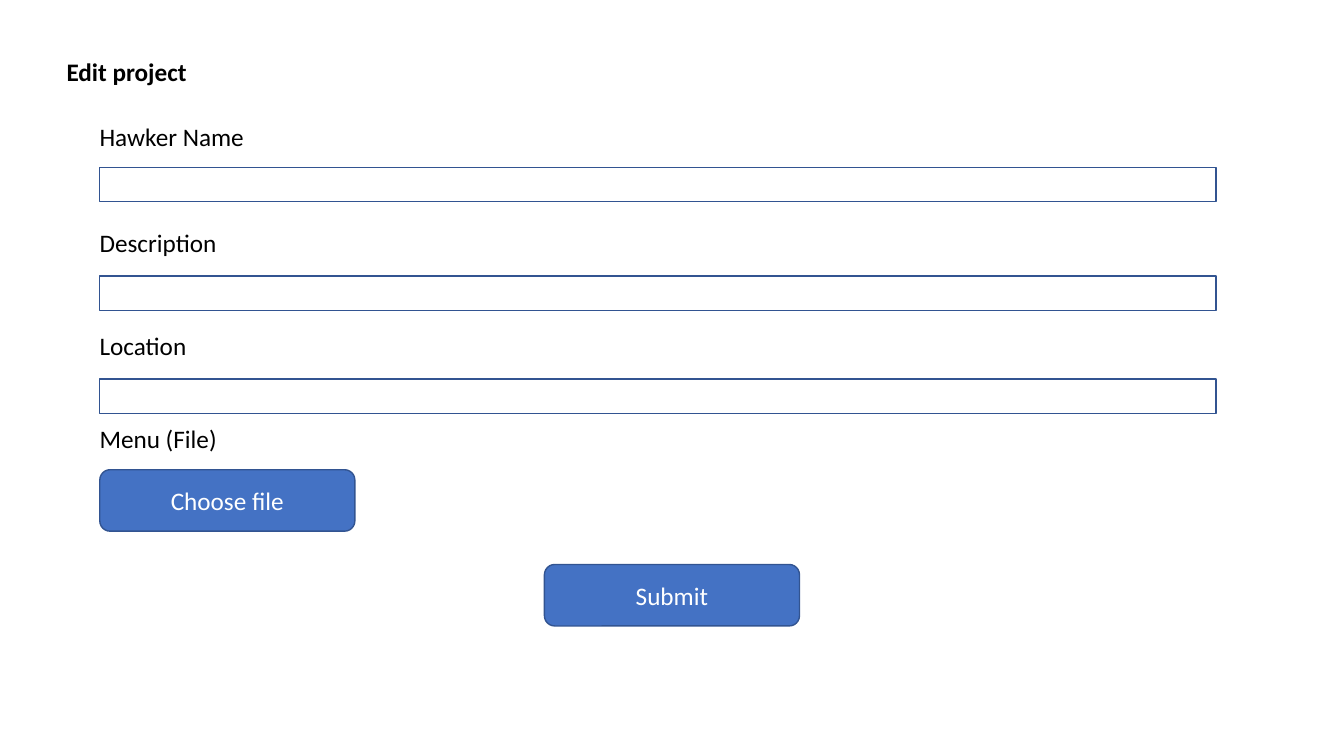
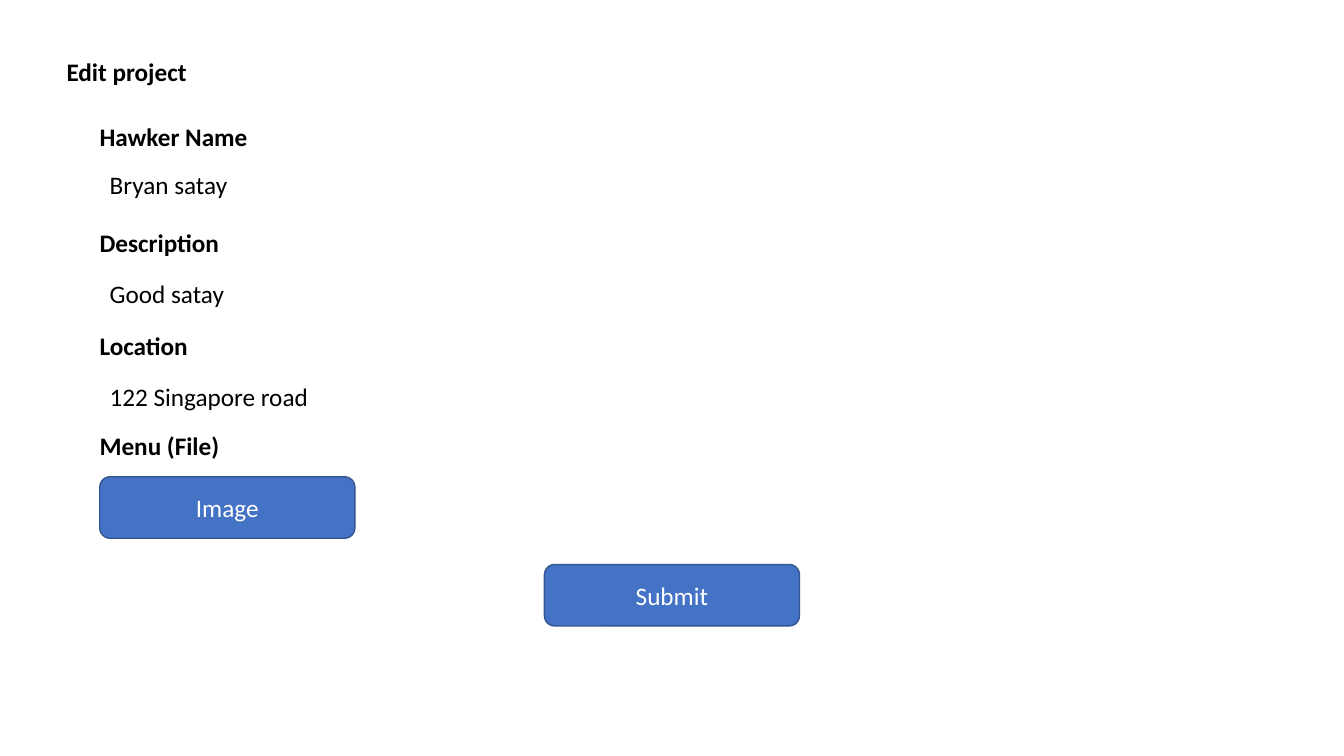
from dataclasses import dataclass

from pptx import Presentation
from pptx.dml.color import RGBColor
from pptx.enum.shapes import MSO_SHAPE
from pptx.enum.text import MSO_ANCHOR, MSO_AUTO_SIZE, PP_ALIGN
from pptx.util import Emu, Pt

RECT = MSO_SHAPE.RECTANGLE
ROUND = MSO_SHAPE.ROUNDED_RECTANGLE
MIDDLE = MSO_ANCHOR.MIDDLE
FIXED = MSO_AUTO_SIZE.NONE
LEFT = PP_ALIGN.LEFT
CENTER = PP_ALIGN.CENTER
SCALE = 9144
TITLE_ONLY = 5


@dataclass(frozen=True)
class Theme:
    font: str = "Calibri"
    size: int = 18
    rule: int = 1
    ink: RGBColor = RGBColor(0x00, 0x00, 0x00)
    paper: RGBColor = RGBColor(0xFF, 0xFF, 0xFF)
    fill: RGBColor = RGBColor(0x44, 0x72, 0xC4)
    edge: RGBColor = RGBColor(0x32, 0x54, 0x91)


@dataclass(frozen=True)
class Box:
    x: int
    y: int
    w: int
    h: int

    def emu(self) -> list[Emu]:
        return [px(v) for v in (self.x, self.y, self.w, self.h)]


@dataclass(frozen=True)
class Row:
    label: str
    top: int
    width: int
    field: int


@dataclass(frozen=True)
class Form:
    values: tuple[str, ...]
    button: str
    menu: int
    bold: bool


THEME = Theme()
HEIGHT = 61
STEP = 62
LABEL_X = 86
FIELD_X = 99
TITLE_PAD = 13
PAD = 10
TITLE = Box(53, 40, 253, HEIGHT)
SUBMIT = Box(540, 560, 253, HEIGHT)
ROWS = (
    Row("Hawker Name", 105, 187, 166),
    Row("Description", 210, 253, 274),
    Row("Location", 312, 253, 376),
)
FORMS = (
    Form((), "Choose file", 404, False),
    Form(("Bryan satay", "Good satay", "122 Singapore road"), "Image", 411, True),
)


def px(value: int) -> Emu:
    return Emu(value * SCALE)


def apply(target, values: dict) -> None:
    for name, value in values.items():
        setattr(target, name, value)


def write(shape, text: str, color: RGBColor, bold: bool = False,
          align=LEFT, pad: int = PAD) -> None:
    frame = shape.text_frame
    frame.text = text
    apply(frame, {
        "word_wrap": True,
        "auto_size": FIXED,
        "vertical_anchor": MIDDLE,
        "margin_left": px(pad),
        "margin_right": px(pad),
        "margin_top": px(0),
        "margin_bottom": px(0),
    })
    line = frame.paragraphs[0]
    line.alignment = align
    font = line.runs[0].font
    apply(font, {"name": THEME.font, "size": Pt(THEME.size), "bold": bold})
    font.color.rgb = color


def add_title(slide, text: str) -> None:
    title = slide.shapes.title
    names = ("left", "top", "width", "height")
    apply(title, dict(zip(names, TITLE.emu())))
    write(title, text, THEME.ink, bold=True, pad=TITLE_PAD)


def add_value(slide, box: Box, text: str) -> None:
    write(slide.shapes.add_textbox(*box.emu()), text, THEME.ink)


def add_label(slide, box: Box, text: str, bold: bool) -> None:
    shape = slide.shapes.add_shape(ROUND, *box.emu())
    shape.shadow.inherit = False
    shape.fill.background()
    shape.line.fill.background()
    write(shape, text, THEME.ink, bold)


def add_panel(slide, kind, box: Box):
    shape = slide.shapes.add_shape(kind, *box.emu())
    shape.shadow.inherit = False
    shape.fill.background()
    shape.line.color.rgb = THEME.edge
    shape.line.width = Pt(THEME.rule)
    return shape


def add_button(slide, box: Box, text: str) -> None:
    shape = add_panel(slide, ROUND, box)
    shape.fill.solid()
    shape.fill.fore_color.rgb = THEME.fill
    write(shape, text, THEME.paper, align=CENTER)


def add_form(deck, form: Form) -> None:
    slide = deck.slides.add_slide(deck.slide_layouts[TITLE_ONLY])
    add_title(slide, "Edit project")
    for i, row in enumerate(ROWS):
        add_label(slide, Box(LABEL_X, row.top, row.width, HEIGHT), row.label, form.bold)
        field = Box(FIELD_X, row.field, 1107, 34)
        if form.values:
            add_value(slide, field, form.values[i])
        else:
            add_panel(slide, RECT, field)
    add_label(slide, Box(LABEL_X, form.menu, 363, HEIGHT), "Menu (File)", form.bold)
    add_button(slide, Box(FIELD_X, form.menu + STEP, 253, HEIGHT), form.button)
    add_button(slide, SUBMIT, "Submit")


def main() -> None:
    deck = Presentation()
    apply(deck, {"slide_width": px(1333), "slide_height": px(750)})
    for form in FORMS:
        add_form(deck, form)
    deck.save("out.pptx")


if __name__ == "__main__":
    main()
